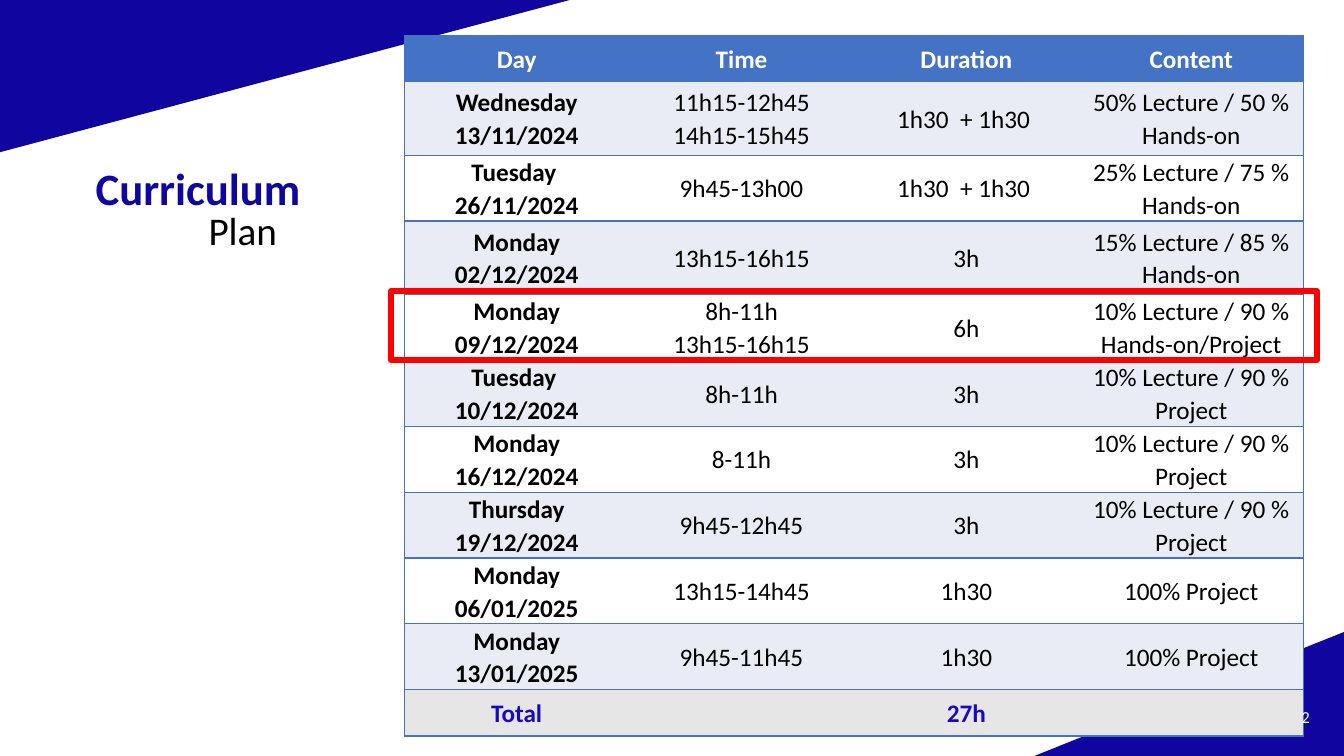
"""Builds a curriculum plan slide with a schedule table."""
from lxml import etree
from pptx import Presentation
from pptx import util as u
from pptx.dml.color import RGBColor
from pptx.enum import shapes, text
from pptx.oxml import ns

BLUE = RGBColor(0x10, 0x06, 0x9F)
TOTAL_BLUE = RGBColor(0x19, 0x07, 0xC9)
HEADER = RGBColor(0x44, 0x72, 0xC4)
BAND = RGBColor(0xE9, 0xEB, 0xF5)
GREY = RGBColor(0xE7, 0xE6, 0xE6)
WHITE = RGBColor(0xFF, 0xFF, 0xFF)
BLACK = RGBColor(0, 0, 0)
RED = RGBColor(0xFF, 0, 0)

ROWS = [
    ("Day", "Time", "Duration", "Content"),
    ("Wednesday 13/11/2024", "11h15-12h45\n14h15-15h45", "1h30  + 1h30 ", "50% Lecture / 50 % Hands-on"),
    ("Tuesday \n26/11/2024", "9h45-13h00", "1h30  + 1h30 ", "25% Lecture / 75 % Hands-on"),
    ("Monday 02/12/2024", "13h15-16h15", "3h", "15% Lecture / 85 % Hands-on"),
    ("Monday 09/12/2024", "8h-11h\n13h15-16h15", "6h", "10% Lecture / 90 % Hands-on/Project"),
    ("Tuesday \n10/12/2024", "8h-11h", "3h", "10% Lecture / 90 % Project"),
    ("Monday\n16/12/2024", "8-11h", "3h", "10% Lecture / 90 % Project"),
    ("Thursday\n19/12/2024", "9h45-12h45", "3h", "10% Lecture / 90 % Project"),
    ("Monday 06/01/2025", "13h15-14h45", "1h30", "100% Project"),
    ("Monday\n13/01/2025", "9h45-11h45", "1h30", "100% Project"),
    ("Total", "", "27h", ""),
]
TALL_ROWS = (1, 3)
LAST_ROW, LAST_COLUMN = len(ROWS) - 1, len(ROWS[0]) - 1

TRIANGLES = [((0, 0, 5.65, 1.51), 180), ((10.26, 6.27, 3.07, 1.23), 0)]
LABELS = [
    ("Curriculum", (0.85, 1.67, 11.33, 0.45), text.MSO_ANCHOR.MIDDLE,
     {"alignment": text.PP_ALIGN.LEFT, "line_spacing": 0.9}, {"size": 32, "bold": True}, BLUE),
    ("Plan", (1.97, 2.05, 9.3, 0.38), text.MSO_ANCHOR.TOP,
     {"alignment": text.PP_ALIGN.LEFT, "line_spacing": 0.9}, {"size": 28}, BLACK),
    ("2", (11.8, 6.91, 1.29, 0.4), text.MSO_ANCHOR.MIDDLE,
     {"alignment": text.PP_ALIGN.RIGHT}, {"size": 12}, WHITE),
]
CELL_PARA = {"alignment": text.PP_ALIGN.CENTER, "line_spacing": 1.07, "space_after": u.Pt(8)}


def inches(place):
    return [u.Inches(value) for value in place]


def set_all(target, values):
    for name, value in values.items():
        setattr(target, name, value)


def write(frame, words, para_format, font_format, color):
    para = frame.paragraphs[0]
    para.text = words
    set_all(para, para_format)
    for span in para.runs:
        set_all(span.font, {"name": "Calibri", **font_format, "size": u.Pt(font_format["size"])})
        span.font.color.rgb = color


def set_borders(cell, column):
    visible = {"lnL": column == 0, "lnR": column == LAST_COLUMN, "lnT": True, "lnB": True}
    properties = cell._tc.get_or_add_tcPr()
    for position, (side, shown) in enumerate(visible.items()):
        line = etree.Element(ns.qn(f"a:{side}"), w=str(u.Pt(1)))
        if shown:
            fill = etree.SubElement(line, ns.qn("a:solidFill"))
            etree.SubElement(fill, ns.qn("a:srgbClr"), val=str(HEADER))
        else:
            etree.SubElement(line, ns.qn("a:noFill"))
        properties.insert(position, line)


def row_colors(row):
    if row == 0:
        return HEADER, WHITE
    if row == LAST_ROW:
        return GREY, TOTAL_BLUE
    return (BAND if row % 2 else WHITE), BLACK


def add_triangle(page, place, rotation):
    triangle = page.shapes.add_shape(shapes.MSO_SHAPE.RIGHT_TRIANGLE, *inches(place))
    triangle.shadow.inherit = False
    triangle.rotation = rotation
    triangle._element.spPr.get_or_add_xfrm().set("flipH", "1")
    triangle.fill.solid()
    triangle.fill.fore_color.rgb = BLUE
    triangle.line.fill.background()


def add_schedule(page):
    place = inches((4.01, 0.35, 8.91, 5.6))
    table = page.shapes.add_table(len(ROWS), len(ROWS[0]), *place).table
    for column in table.columns:
        column.width = u.Inches(2.23)
    for row, values in enumerate(ROWS):
        table.rows[row].height = u.Inches(0.73 if row in TALL_ROWS else 0.46)
        fill, color = row_colors(row)
        for column, words in enumerate(values):
            cell = table.cell(row, column)
            set_all(cell, {"vertical_anchor": text.MSO_ANCHOR.MIDDLE,
                           "margin_left": u.Inches(0.07), "margin_right": u.Inches(0.07),
                           "margin_top": 0, "margin_bottom": 0})
            cell.fill.solid()
            cell.fill.fore_color.rgb = fill
            set_borders(cell, column)
            bold = column == 0 or row in (0, LAST_ROW)
            write(cell.text_frame, words, CELL_PARA, {"size": 18, "bold": bold}, color)


def add_label(page, words, place, anchor, para_format, font_format, color):
    frame = page.shapes.add_textbox(*inches(place)).text_frame
    set_all(frame, {"word_wrap": True, "vertical_anchor": anchor})
    write(frame, words, para_format, font_format, color)


def add_highlight(page):
    box = page.shapes.add_shape(shapes.MSO_SHAPE.RECTANGLE, *inches((3.88, 2.89, 9.18, 0.68)))
    box.shadow.inherit = False
    box.fill.background()
    box.line.color.rgb = RED
    box.line.width = u.Pt(4.5)


def main():
    deck = Presentation()
    deck.slide_width, deck.slide_height = inches((13.33, 7.5))
    page = deck.slides.add_slide(deck.slide_layouts[6])
    for place, rotation in TRIANGLES:
        add_triangle(page, place, rotation)
    add_schedule(page)
    add_highlight(page)
    for label in LABELS:
        add_label(page, *label)
    deck.save("out.pptx")


if __name__ == "__main__":
    main()
